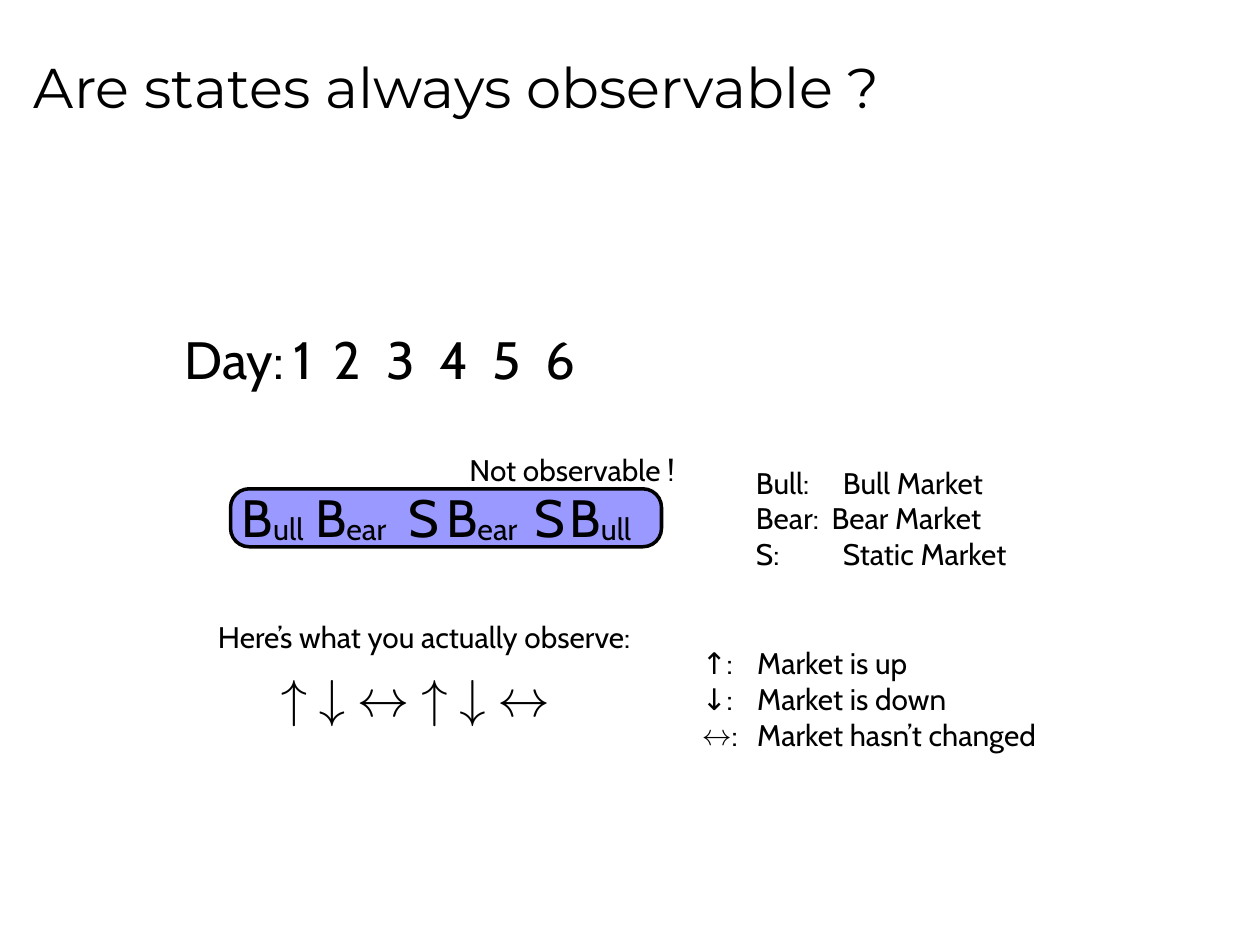
from dataclasses import dataclass

from lxml.etree import SubElement
from pptx import Presentation
from pptx.dml.color import RGBColor
from pptx.enum.shapes import MSO_SHAPE
from pptx.enum.text import MSO_ANCHOR, MSO_AUTO_SIZE, PP_ALIGN
from pptx.oxml.ns import qn
from pptx.shapes.base import BaseShape
from pptx.util import Inches, Pt

COLORS = {"text": "000000", "state": "9999FF", "paper": "FFFFFF"}


@dataclass
class Label:
    text: str
    left: float
    top: float
    width: float
    height: float
    size: int = 30
    align: PP_ALIGN = PP_ALIGN.LEFT
    tabs: tuple[float, ...] = ()
    sub: str = ""
    font: str = "Cabin"


@dataclass
class Legend:
    left: float
    top: float
    width: float
    height: float
    rows: tuple[tuple[str, float], ...]


def color(name: str) -> RGBColor:
    return RGBColor.from_string(COLORS[name])


def add_paragraph(p, text: str, size: int, font: str, tabs: tuple[float, ...] = ()) -> None:
    if tabs:
        tab_list = SubElement(p._p.get_or_add_pPr(), qn("a:tabLst"))
        for pos in tabs:
            SubElement(tab_list, qn("a:tab"), pos=str(Inches(pos)), algn="l")
    p.font.size = Pt(size)
    p.font.name = font
    p.font.color.rgb = color("text")
    p.add_run().text = text


def clear_margins(tf) -> None:
    tf.margin_left = tf.margin_right = tf.margin_top = tf.margin_bottom = 0
    tf.vertical_anchor = MSO_ANCHOR.MIDDLE


def add_label(shapes, item: Label) -> BaseShape:
    s = shapes.add_textbox(Inches(item.left), Inches(item.top), Inches(item.width), Inches(item.height))
    tf = s.text_frame
    clear_margins(tf)
    tf.word_wrap = bool(item.tabs)
    tf.auto_size = MSO_AUTO_SIZE.NONE if item.tabs else MSO_AUTO_SIZE.SHAPE_TO_FIT_TEXT
    p = tf.paragraphs[0]
    p.alignment = item.align
    add_paragraph(p, item.text, item.size, item.font, item.tabs)
    if item.sub:
        r = p.add_run()
        r.text = item.sub
        r._r.get_or_add_rPr().set("baseline", "-6000")
    return s


def add_legend(shapes, item: Legend) -> None:
    s = shapes.add_shape(MSO_SHAPE.RECTANGLE, Inches(item.left), Inches(item.top),
                         Inches(item.width), Inches(item.height))
    s.shadow.inherit = False
    s.fill.background()
    s.line.color.rgb = color("paper")
    s.line.width = Pt(1)
    tf = s.text_frame
    clear_margins(tf)
    for i, (text, tab) in enumerate(item.rows):
        p = tf.add_paragraph() if i else tf.paragraphs[0]
        p.alignment = PP_ALIGN.LEFT
        add_paragraph(p, text, 17, "Cabin", (tab,))


def add_state_bar(shapes) -> None:
    s = shapes.add_shape(MSO_SHAPE.ROUNDED_RECTANGLE, Inches(1.83), Inches(3.88), Inches(3.42), Inches(0.46))
    s.adjustments[0] = 0.32
    s.shadow.inherit = False
    s.fill.solid()
    s.fill.fore_color.rgb = color("state")
    s.line.color.rgb = color("text")
    s.line.width = Pt(2)


TITLE = Label("Are states always observable ?", 0.27, 0.17, 9.3, 1.02, 32, font="Montserrat")
DAYS = [
    Label("1\t2\t3\t4\t5\t6", 2.33, 2.59, 2.57, 0.51, tabs=tuple(0.32 + 0.42 * i for i in range(5))),
    Label("Day:", 1.43, 2.59, 0.86, 0.51, align=PP_ALIGN.CENTER),
]
OBSERVED = Label("↑ ↓ ↔ ↑ ↓ ↔", 2.23, 5.29, 2.39, 0.5)
STATES = [
    ("B", "ull", 1.92, 0.56),
    ("B", "ear", 2.5, 0.69),
    ("S", "", 3.22, 0.28),
    ("B", "ear", 3.54, 0.69),
    ("S", "", 4.22, 0.28),
    ("B", "ull", 4.52, 0.56),
]
LEGENDS = [
    Legend(5.57, 5.08, 3.1, 0.93, (
        ("↑:\tMarket is up", 0.44),
        ("↓:\tMarket is down", 0.44),
        ("↔:\tMarket hasn’t changed", 0.44),
    )),
    Legend(6, 3.65, 2.34, 0.92, (
        ("Bull:\tBull Market", 0.69),
        ("Bear:\tBear Market", 0.6),
        ("S:\tStatic Market", 0.69),
    )),
]
CAPTIONS = [
    Label("Not observable !", 3.67, 3.58, 1.74, 0.29, 17, PP_ALIGN.CENTER),
    Label("Here’s what you actually observe:", 1.73, 4.91, 3.57, 0.29, 17),
]


def main() -> None:
    prs = Presentation()
    prs.slide_width, prs.slide_height = Inches(10), Inches(7.5)
    shapes = prs.slides.add_slide(prs.slide_layouts[6]).shapes
    add_state_bar(shapes)
    add_label(shapes, TITLE)
    day_group = shapes.add_group_shape()
    for item in DAYS:
        add_label(day_group.shapes, item)
    add_label(shapes, OBSERVED)
    for letter, sub, left, width in STATES:
        align = PP_ALIGN.LEFT if sub else PP_ALIGN.CENTER
        add_label(shapes, Label(letter, left, 3.85, width, 0.5, align=align, sub=sub))
    for legend in LEGENDS:
        add_legend(shapes, legend)
    for item in CAPTIONS:
        add_label(shapes, item)
    prs.save("out.pptx")


if __name__ == "__main__":
    main()
